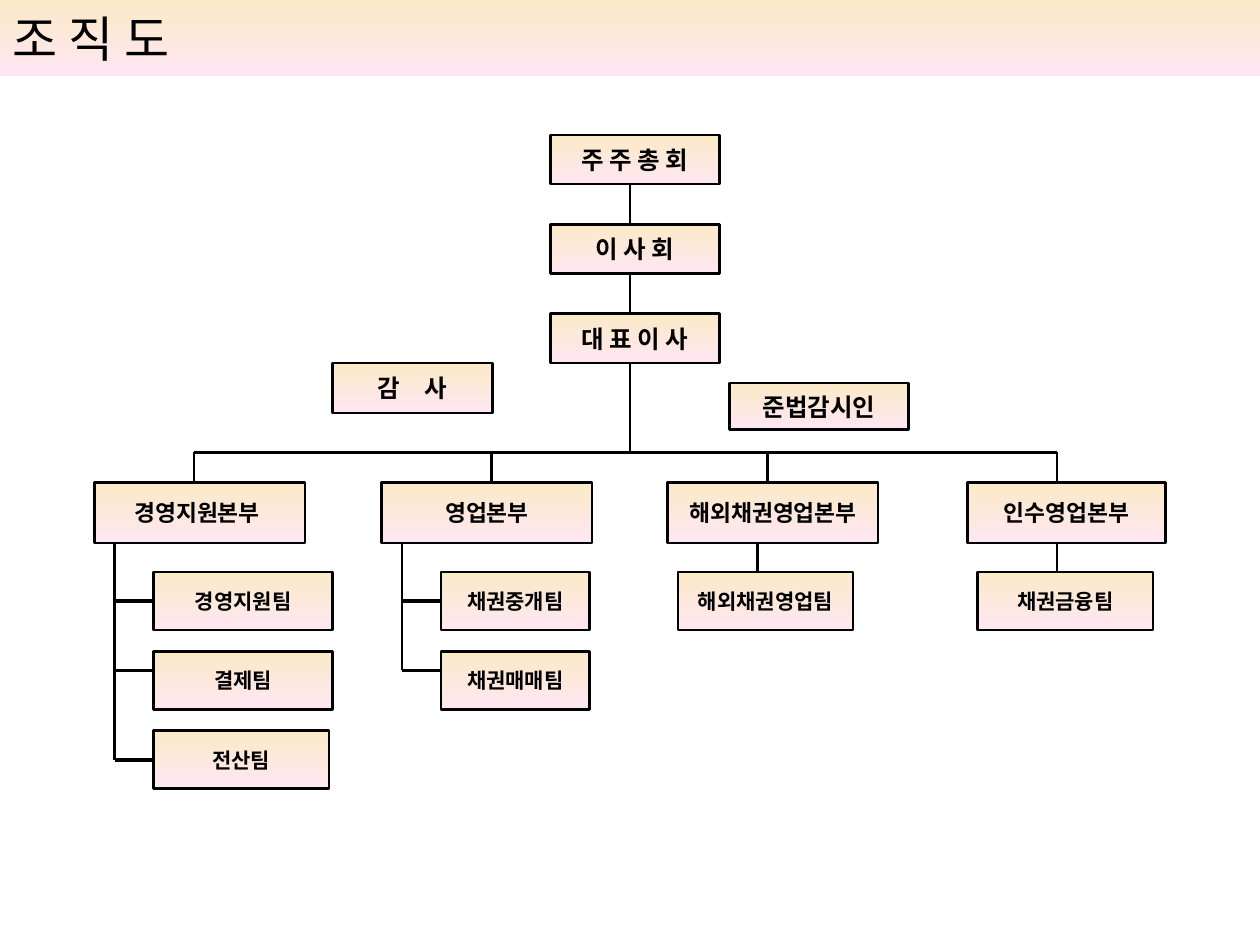
from dataclasses import dataclass

import pptx
import pptx.dml.color
import pptx.enum.shapes
import pptx.enum.text
import pptx.oxml
import pptx.oxml.ns
import pptx.util

Inches = pptx.util.Inches
Align = pptx.enum.text.PP_ALIGN


@dataclass(frozen=True)
class Theme:
    font: str = "Noto Sans CJK KR"
    latin_font: str = "Times New Roman"
    ink: str = "000000"
    gradient: tuple = ("FBEAC7", "FEE7F2")
    title_size: int = 28
    board_size: int = 14
    division_size: int = 13
    team_size: int = 12
    line_width: float = 1.5
    branch_width: float = 2


THEME = Theme()
CENTER = 5
BOARD = ["주 주 총 회", "이 사 회", "대 표 이 사"]
BOARD_TOP, BOARD_PITCH, BOARD_HEIGHT = 1.07, 0.71, 0.39
OFFICERS = [("감　사", 2.64, 2.88, 1.27, 0.4), ("준법감시인", 5.79, 3.04, 1.42, 0.37)]
BUS = 3.59
DIVISION_TOP, DIVISION_HEIGHT = 3.83, 0.48
DIVISION_BOTTOM = DIVISION_TOP + DIVISION_HEIGHT
TEAM_TOP, TEAM_PITCH, TEAM_HEIGHT = 4.54, 0.63, 0.46
BRANCHES = [4.77, 5.32, 6.03]
DIVISIONS = [
    dict(name="경영지원본부 ", left=0.75, width=1.67, drop=1.54, stem=0.91, team_left=1.22,
         teams=[("경영지원팀", 1.42), ("결제팀", 1.42), ("전산팀", 1.39)]),
    dict(name="영업본부", left=3.03, width=1.67, drop=3.9, stem=3.19, team_left=3.5,
         teams=[("채권중개팀", 1.18), ("채권매매팀", 1.18)]),
    dict(name="해외채권영업본부", left=5.3, width=1.67, drop=6.09, stem=6.01, team_left=5.38,
         teams=[("해외채권영업팀", 1.39)]),
    dict(name="인수영업본부", left=7.68, width=1.57, drop=8.39, stem=8.39, team_left=7.76,
         teams=[("채권금융팀", 1.39)]),
]


def color(value):
    return pptx.dml.color.RGBColor.from_string(value)


def fill_gradient(shape):
    shape.fill.gradient()
    shape.fill.gradient_angle = 270
    for stop, value in zip(shape.fill.gradient_stops, THEME.gradient):
        stop.color.rgb = color(value)


def write_text(shape, text, size, bold=True, align=Align.CENTER, wrap=False, font=THEME.font):
    frame = shape.text_frame
    frame.word_wrap = wrap
    frame.auto_size = pptx.enum.text.MSO_AUTO_SIZE.NONE
    frame.vertical_anchor = pptx.enum.text.MSO_ANCHOR.MIDDLE
    paragraph = frame.paragraphs[0]
    paragraph.alignment = align
    run = paragraph.add_run()
    run.text = text
    run.font.size = pptx.util.Pt(size)
    run.font.bold = bold
    run.font.color.rgb = color(THEME.ink)
    run.font.name = font
    east_asian = pptx.oxml.parse_xml(
        f'<a:ea {pptx.oxml.ns.nsdecls("a")} typeface="{THEME.font}"/>')
    run.font._element.find(pptx.oxml.ns.qn("a:latin")).addnext(east_asian)


def add_title(slide, text):
    title = slide.shapes.title
    title.left, title.top, title.width, title.height = map(Inches, (0, 0, 10, 0.6))
    fill_gradient(title)
    write_text(title, text, THEME.title_size, bold=False, align=Align.LEFT, wrap=True)


def add_box(slide, text, left, top, width, height, size, **text_format):
    shape = slide.shapes.add_shape(
        pptx.enum.shapes.MSO_SHAPE.RECTANGLE, *map(Inches, (left, top, width, height)))
    shape.shadow.inherit = False
    fill_gradient(shape)
    shape.line.color.rgb = color(THEME.ink)
    shape.line.width = pptx.util.Pt(THEME.line_width)
    write_text(shape, text, size, **text_format)


def add_line(slide, x1, y1, x2, y2, width=THEME.line_width):
    line = slide.shapes.add_connector(
        pptx.enum.shapes.MSO_CONNECTOR.STRAIGHT, *map(Inches, (x1, y1, x2, y2)))
    line.line.color.rgb = color(THEME.ink)
    line.line.width = pptx.util.Pt(width)
    line._element.spPr.append(
        pptx.oxml.parse_xml(f'<a:effectLst {pptx.oxml.ns.nsdecls("a")}/>'))


def add_board(slide):
    for index, name in enumerate(BOARD):
        top = BOARD_TOP + index * BOARD_PITCH
        end = BUS if index == len(BOARD) - 1 else top + BOARD_PITCH
        add_line(slide, CENTER, top + BOARD_HEIGHT, CENTER, end)
        add_box(slide, name, 4.37, top, 1.34, BOARD_HEIGHT, THEME.board_size)
    for name, *bounds in OFFICERS:
        add_box(slide, name, *bounds, THEME.board_size)


def add_division(slide, name, left, width, drop, stem, team_left, teams):
    add_line(slide, drop, BUS, drop, DIVISION_TOP)
    if len(teams) == 1:
        add_line(slide, stem, DIVISION_BOTTOM, stem, TEAM_TOP)
    else:
        add_line(slide, stem, DIVISION_BOTTOM, stem, BRANCHES[len(teams) - 1])
        for y in BRANCHES[:len(teams)]:
            add_line(slide, stem, y, team_left, y, THEME.branch_width)
    add_box(slide, name, left, DIVISION_TOP, width, DIVISION_HEIGHT, THEME.division_size)
    for index, (team, team_width) in enumerate(teams):
        font = THEME.latin_font if team == "채권매매팀" else THEME.font
        add_box(slide, team, team_left, TEAM_TOP + index * TEAM_PITCH, team_width,
                TEAM_HEIGHT, THEME.team_size, font=font)


def main():
    presentation = pptx.Presentation()
    presentation.slide_width, presentation.slide_height = Inches(10), Inches(7.5)
    slide = presentation.slides.add_slide(presentation.slide_layouts[5])
    add_title(slide, "조 직 도")
    add_board(slide)
    add_line(slide, DIVISIONS[0]["drop"], BUS, DIVISIONS[-1]["drop"], BUS)
    for division in DIVISIONS:
        add_division(slide, **division)
    presentation.save("out.pptx")


if __name__ == "__main__":
    main()
